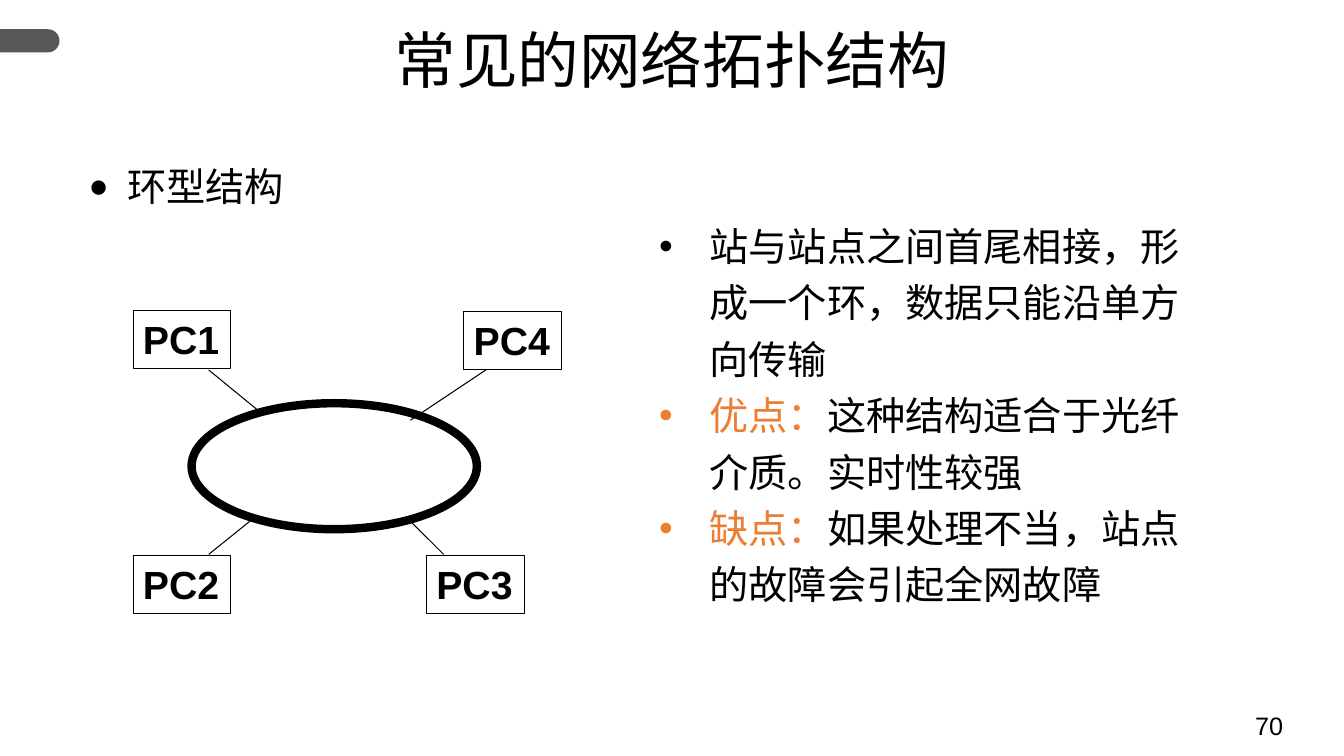
import pptx
import pptx.util
import pptx.dml.color
import pptx.enum.shapes
import pptx.enum.text
import pptx.oxml.ns
from lxml import etree
from pptx.util import Inches

BLACK = pptx.dml.color.RGBColor(0, 0, 0)
WHITE = pptx.dml.color.RGBColor(255, 255, 255)
GREY = pptx.dml.color.RGBColor(0x57, 0x57, 0x57)
ORANGE = pptx.dml.color.RGBColor(0xED, 0x7D, 0x31)
SANS = "Noto Sans CJK SC"
SHAPE = pptx.enum.shapes.MSO_SHAPE
ANCHOR = pptx.enum.text.MSO_ANCHOR
ALIGN = pptx.enum.text.PP_ALIGN
TEXT = 28
BOX_W, BOX_H = 0.97, 0.58

POINTS = [
    ("", "站与站点之间首尾相接，形成一个环，数据只能沿单方向传输"),
    ("优点：", "这种结构适合于光纤介质。实时性较强"),
    ("缺点：", "如果处理不当，站点的故障会引起全网故障"),
]
# Name, box corner, line start, line end
NODES = [
    ("PC1", (1.32, 3.08), (2.07, 3.67), (2.57, 4.08)),
    ("PC3", (4.23, 5.51), (4.07, 5.17), (4.4, 5.5)),
    ("PC4", (4.6, 3.09), (4.82, 3.67), (4.07, 4.17)),
    ("PC2", (1.32, 5.51), (2.48, 5.17), (2.07, 5.5)),
]


def place(shape, left, top, width, height):
    shape.left, shape.top = Inches(left), Inches(top)
    shape.width, shape.height = Inches(width), Inches(height)


def style(para, size, face, bold=False):
    font = para.font
    font.size, font.name, font.bold = pptx.util.Pt(size), face, bold
    font.color.rgb = BLACK


def bullet(para, mark, left, hang, scale=100):
    props = para._p.get_or_add_pPr()
    props.set("marL", str(Inches(left)))
    props.set("indent", str(-Inches(hang)))
    for tag, key, value in (("a:buSzPct", "val", str(scale * 1000)),
                            ("a:buFont", "typeface", "Arial"),
                            ("a:buChar", "char", mark)):
        etree.SubElement(props, pptx.oxml.ns.qn(tag)).set(key, value)


def add_title(slide):
    title = slide.shapes.title
    place(title, 0, 0.25, 13.33, 1.25)
    frame = title.text_frame
    frame.text = "常见的网络拓扑结构"
    frame.vertical_anchor = ANCHOR.TOP
    para = frame.paragraphs[0]
    para.alignment, para.line_spacing = ALIGN.CENTER, 0.9
    style(para, 44, "Arial")


def add_topic(slide):
    body = slide.placeholders[1]
    place(body, 0.78, 1.42, 12.02, 5.76)
    body.text_frame.text = "环型结构"
    para = body.text_frame.paragraphs[0]
    para.line_spacing, para.space_before = 1.3, pptx.util.Pt(0)
    bullet(para, "●", 0.38, 0.38, 85)
    style(para, TEXT, SANS)


def add_box(slide, left, top, width, height):
    box = slide.shapes.add_textbox(*map(Inches, (left, top, width, height)))
    box.text_frame.word_wrap = True
    return box.text_frame


def add_points(slide):
    frame = add_box(slide, 5.44, 2.06, 6.67, 4.06)
    for i, (label, words) in enumerate(POINTS):
        para = frame.add_paragraph() if i else frame.paragraphs[0]
        para.line_spacing = 1.2
        bullet(para, "•", 1.5, 0.5)
        style(para, TEXT, SANS)
        if label:
            run = para.add_run()
            run.text = label
            run.font.color.rgb = ORANGE
        para.add_run().text = words


def add_shape(slide, kind, spot, fill, weight):
    shape = slide.shapes.add_shape(kind, *map(Inches, spot))
    shape.shadow.inherit = False
    if fill is None:
        shape.fill.background()
    else:
        shape.fill.solid()
        shape.fill.fore_color.rgb = fill
    shape.line.color.rgb = BLACK
    shape.line.width = pptx.util.Pt(weight)
    return shape


def add_node(slide, name, left, top):
    node = add_shape(slide, SHAPE.RECTANGLE,
                     (left, top, BOX_W, BOX_H), WHITE, 0.75)
    frame = node.text_frame
    frame.text, frame.word_wrap = name, False
    frame.vertical_anchor = ANCHOR.TOP
    para = frame.paragraphs[0]
    para.alignment = ALIGN.LEFT
    style(para, TEXT, "Arial", True)


def add_link(slide, start, end):
    link = slide.shapes.add_connector(
        pptx.enum.shapes.MSO_CONNECTOR.STRAIGHT, *map(Inches, start + end))
    link.line.color.rgb = BLACK
    link.line.width = pptx.util.Pt(0.75)
    etree.SubElement(link._element.spPr, pptx.oxml.ns.qn("a:effectLst"))


def add_tab(slide):
    tab = slide.shapes.add_shape(
        SHAPE.ROUND_2_SAME_RECTANGLE,
        *map(Inches, (0.18, 0.11, 0.23, 0.59)))
    tab.rotation = 90
    tab.adjustments[0] = 0.5
    tab.shadow.inherit = False
    tab.fill.solid()
    tab.fill.fore_color.rgb = GREY
    tab.line.fill.background()


def main():
    deck = pptx.Presentation()
    deck.slide_width, deck.slide_height = Inches(13.33), Inches(7.5)
    slide = deck.slides.add_slide(deck.slide_layouts[1])

    # Heading and text
    add_tab(slide)
    add_title(slide)
    add_topic(slide)
    add_points(slide)

    # Page number
    frame = add_box(slide, 12.35, 7, 0.99, 0.5)
    frame.text = "70"
    style(frame.paragraphs[0], 18, "Arial")

    # Ring network
    for name, corner, _, _ in NODES:
        add_node(slide, name, *corner)
    add_shape(slide, SHAPE.OVAL, (1.9, 4, 2.83, 1.25), None, 6)
    for _, _, start, end in NODES:
        add_link(slide, start, end)

    deck.save("out.pptx")


if __name__ == "__main__":
    main()
